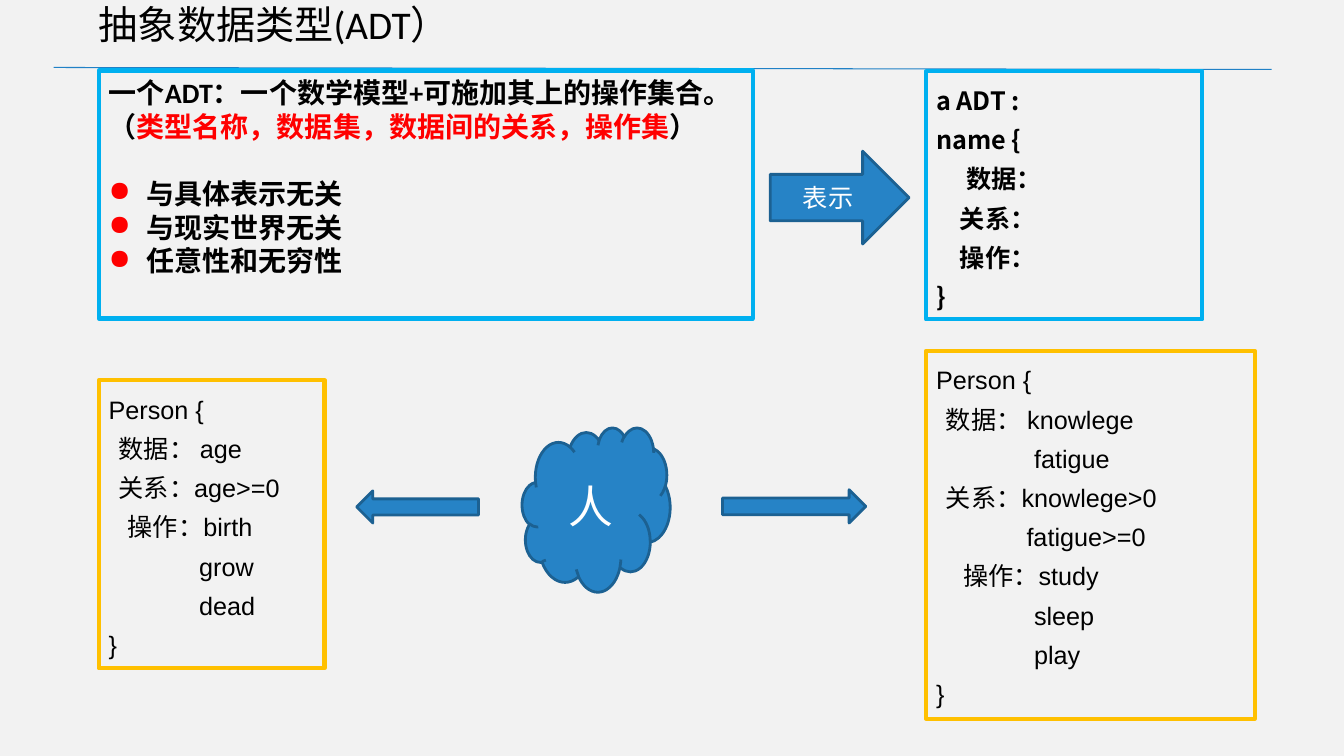
from lxml import etree
from pptx import Presentation
from pptx.dml.color import RGBColor
from pptx.enum.shapes import MSO_CONNECTOR, MSO_SHAPE
from pptx.enum.text import MSO_ANCHOR, PP_ALIGN
from pptx.oxml.ns import qn
from pptx.util import Cm, Pt

RECT, CLOUD = MSO_SHAPE.RECTANGLE, MSO_SHAPE.CLOUD
RIGHT, LEFT = MSO_SHAPE.RIGHT_ARROW, MSO_SHAPE.LEFT_ARROW
TOP, MIDDLE = MSO_ANCHOR.TOP, MSO_ANCHOR.MIDDLE
START, CENTER = PP_ALIGN.LEFT, PP_ALIGN.CENTER
STRAIGHT = MSO_CONNECTOR.STRAIGHT
NOTO = "Noto Sans CJK SC"
COLORS = {"back": "F2F2F2", "rule": "2181C6", "black": "000000", "white": "FFFFFF",
          "red": "FF0000", "sky": "00B0F0", "gold": "FFC000", "blue": "2683C6",
          "navy": "1C6192"}


def tint(name):
    return RGBColor.from_string(COLORS[name])


class Board:
    """Holds the slide and draws each kind of element on it."""

    def __init__(self, deck):
        self.slide = deck.slides.add_slide(deck.slide_layouts[6])
        fill = self.slide.background.fill
        fill.solid()
        fill.fore_color.rgb = tint("back")

    def rule(self, *ends):
        line = self.slide.shapes.add_connector(STRAIGHT, *map(Cm, ends))
        line.line.color.rgb = tint("rule")
        line.line.width = Pt(0.75)
        etree.SubElement(line._element.spPr, qn("a:effectLst"))

    def shape(self, kind, place, edge, width, fill=None):
        shape = self.slide.shapes.add_shape(kind, *map(Cm, place))
        shape.shadow.inherit = False
        if fill:
            shape.fill.solid()
            shape.fill.fore_color.rgb = tint(fill)
        else:
            shape.fill.background()
        shape.line.color.rgb = tint(edge)
        shape.line.width = Pt(width)
        return shape

    def block(self, kind, place):
        return self.shape(kind, place, "navy", 2, "blue")

    def label(self, place):
        return self.slide.shapes.add_textbox(*map(Cm, place))

    def frame(self, shape, anchor):
        frame = shape.text_frame
        form = {"word_wrap": True, "vertical_anchor": anchor}
        if anchor == TOP:
            form["margin_right"] = 0
        for key, value in form.items():
            setattr(frame, key, value)
        return frame

    def words(self, para, text, color="black", face=NOTO, **form):
        run = para.add_run()
        run.text = text
        for key, value in {"name": face, **form}.items():
            setattr(run.font, key, value)
        run.font.color.rgb = tint(color)
        etree.SubElement(run._r.get_or_add_rPr(), qn("a:ea"), typeface=NOTO)

    def center(self, shape, text, size):
        para = self.frame(shape, MIDDLE).paragraphs[0]
        para.alignment = CENTER
        self.words(para, text, "white", size=Pt(size))

    def paras(self, shape, count, pitch):
        frame = self.frame(shape, TOP)
        for i in range(count):
            para = frame.add_paragraph() if i else frame.paragraphs[0]
            para.alignment = START
            para.line_spacing = Pt(pitch)
            yield para

    def code(self, shape, lines, **form):
        """Sets lines given as (indent in cm, text)."""
        for para, (indent, text) in zip(self.paras(shape, len(lines), 28), lines):
            para._p.get_or_add_pPr().set("marL", str(Cm(indent)))
            self.words(para, text, size=Pt(18), **form)

    def bullet(self, para):
        props = para._p.get_or_add_pPr()
        props.set("marL", str(Cm(0.95)))
        props.set("indent", str(Cm(-0.95)))
        color = etree.SubElement(props, qn("a:buClr"))
        etree.SubElement(color, qn("a:srgbClr"), val=COLORS["red"])
        etree.SubElement(props, qn("a:buChar"), char="●")


def main():
    deck = Presentation()
    deck.slide_width, deck.slide_height = Cm(33.87), Cm(19.05)
    board = Board(deck)

    # Title and rule
    board.rule(1.35, 1.7, 32.05, 1.75)
    title = board.frame(board.label((2.24, 0.1, 19.5, 1)), MIDDLE)
    board.words(title.paragraphs[0], "抽象数据类型(ADT）", face="Calibri", size=Pt(28))

    # Definition
    bold = {"face": "Calibri", "size": Pt(20), "bold": True}
    points = ["与具体表示无关", "与现实世界无关", "任意性和无穷性"]
    box = board.shape(RECT, (2.49, 1.78, 16.48, 6.25), "sky", 3)
    head, parts, *rest = board.paras(box, 2 + len(points), 24)
    board.words(head, "一个ADT：一个数学模型+可施加其上的操作集合。", **bold)
    for text, color in [("（", "black"), ("类型名称，数据集，数据间的关系，操作集", "red"),
                        ("）", "black")]:
        board.words(parts, text, color, **bold)
    for para, text in zip(rest, points):
        board.bullet(para)
        board.words(para, text, **bold)
    rest[0].space_before = Pt(24)

    # General form
    board.center(board.block(RIGHT, (19.41, 3.81, 3.5, 2.34)), "表示", 18)
    box = board.shape(RECT, (23.34, 1.8, 6.96, 6.25), "sky", 3)
    board.code(box, [(0, "a ADT :"), (0, "name {"), (0.76, "数据："), (0.6, "关系："),
                     (0.6, "操作："), (0, "}")], bold=True)

    # Two views of a person
    box = board.shape(RECT, (2.49, 9.58, 5.69, 7.26), "gold", 3)
    board.code(box, [(0, "Person {"), (0.25, "数据： age"), (0.25, "关系：age>=0"),
                     (0.48, "操作：birth"), (2.28, "grow"), (2.28, "dead"),
                     (0, "}")], face="Arial")
    box = board.shape(RECT, (23.34, 8.84, 8.28, 9.27), "gold", 3)
    board.code(box, [(0, "Person {"), (0.25, "数据： knowlege"), (2.47, "fatigue"),
                     (0.25, "关系：knowlege>0"), (2.28, "fatigue>=0"),
                     (0.68, "操作：study"), (2.47, "sleep"), (2.47, "play"),
                     (0, "}")], face="Arial")

    # Cloud and its arrows
    board.center(board.block(CLOUD, (13.16, 10.77, 3.73, 4.14)), "人", 32)
    board.block(LEFT, (8.99, 12.37, 3.07, 0.81))
    board.block(RIGHT, (18.21, 12.34, 3.61, 0.84))

    deck.save("out.pptx")


if __name__ == "__main__":
    main()
